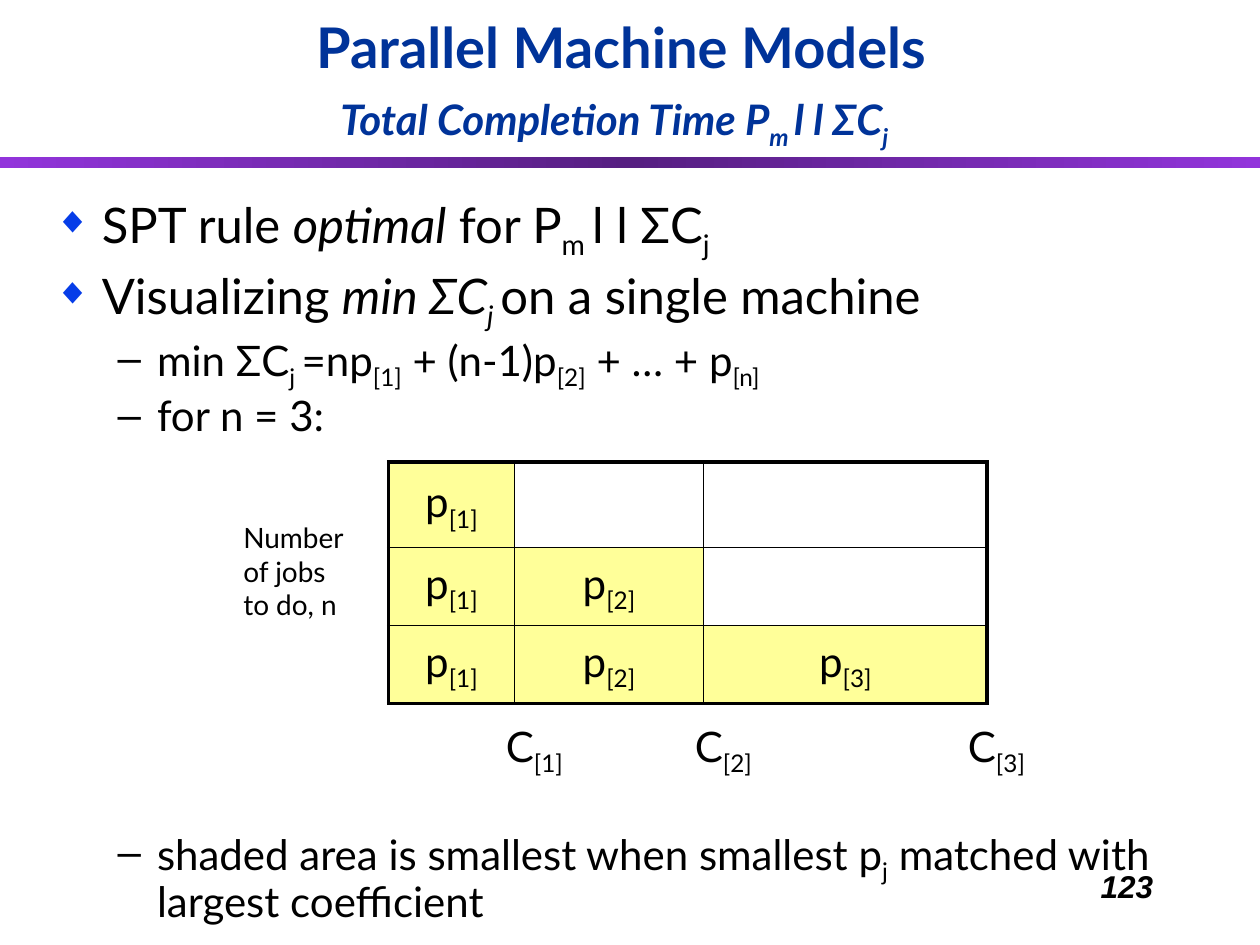
"""Build the slide on total completion time for parallel machines."""
import copy

import pptx
import pptx.dml.color
import pptx.enum.text
import pptx.oxml
import pptx.oxml.ns
import pptx.util

Pt = pptx.util.Pt
RGB = pptx.dml.color.RGBColor
ALIGN = pptx.enum.text.PP_ALIGN
ANCHOR = pptx.enum.text.MSO_ANCHOR
NONE = pptx.enum.text.MSO_AUTO_SIZE.NONE
NS = pptx.oxml.ns.nsdecls("a")
BLACK = RGB(0x00, 0x00, 0x00)
NAVY = RGB(0x00, 0x33, 0x99)
BLUE = RGB(0x06, 0x3D, 0xE8)
PURPLE = RGB(0x92, 0x34, 0xDB)
DARK_PURPLE = RGB(0x56, 0x1F, 0x81)
YELLOW = RGB(0xFF, 0xFF, 0x99)


def add_runs(p, parts, size, color=BLACK, bold=False):
    for text, style in parts:
        r = p.add_run()
        r.text = text
        r.font.name = "Lato"
        r.font.size = Pt(size)
        r.font.bold = bold
        r.font.italic = "i" in style
        r.font.color.rgb = color
        if "_" in style:
            r._r.get_or_add_rPr().set("baseline", "-25000")


def add_text(s, x, y, w, h):
    tf = s.shapes.add_textbox(Pt(x), Pt(y), Pt(w), Pt(h)).text_frame
    tf.word_wrap = True
    return tf.paragraphs[0]


prs = pptx.Presentation()
prs.slide_width, prs.slide_height = Pt(720), Pt(540)
s = prs.slides.add_slide(prs.slide_layouts[1])

sp = s.shapes.add_shape(pptx.enum.shapes.MSO_SHAPE.RECTANGLE, 0, Pt(90), Pt(720), Pt(6))
sp.shadow.inherit = False
sp.line.fill.background()
sp.fill.gradient()
sp.fill.gradient_angle = 0
stops = sp.fill.gradient_stops
for stop, color, position in zip(stops, (PURPLE, DARK_PURPLE), (0, 0.5)):
    stop.color.rgb = color
    stop.position = position
first = stops[0]._gs
last = copy.deepcopy(first)
last.set("pos", "100000")
first.getparent().append(last)

title = s.shapes.title
title.left, title.top, title.width, title.height = Pt(18), Pt(12), Pt(674), Pt(78)
tf = title.text_frame
tf.auto_size = NONE
tf.vertical_anchor = ANCHOR.BOTTOM
p = tf.paragraphs[0]
p.alignment = ALIGN.CENTER
add_runs(p, [("Parallel Machine Models", "")], 32, NAVY, True)
p.add_line_break()
add_runs(p, [("Total Completion Time P", "i"), ("m ", "i_"), ("l l ΣC", "i"), ("j", "i_")], 24, NAVY, True)
add_runs(p, [(" ", "")], 32, NAVY, True)

body = s.placeholders[1]
body.left, body.top, body.width, body.height = Pt(24), Pt(108), Pt(678), Pt(420)
tf = body.text_frame
tf.auto_size = NONE
items = [
    (0, 6, [("SPT rule ", ""), ("optimal", "i"), (" for P", ""), ("m ", "_"), ("l l ΣC", ""), ("j", "_")]),
    (0, 6, [("Visualizing ", ""), ("min ΣC", "i"), ("j ", "i_"), ("on a single machine", "")]),
    (1, 5, [("min ΣC", ""), ("j ", "_"), ("=np", ""), ("[1]", "_"), (" + (n-1)p", ""),
            ("[2]", "_"), (" + … + p", ""), ("[n]", "_")]),
    (1, 5, [("for n = 3:", "")]),
    (1, 222, [("shaded area is smallest when smallest p", ""), ("j", "_"),
              (" matched with largest coefficient", "")]),
]
levels = [(28, 27, -27, BLUE, 75, "◆"), (24, 58.5, -22.5, BLACK, 100, "–")]
for i, (level, gap, parts) in enumerate(items):
    size, margin, indent, color, percent, bullet = levels[level]
    p = tf.add_paragraph() if i else tf.paragraphs[0]
    p.level = level
    p.line_spacing = 0.9
    p.space_before = Pt(gap)
    add_runs(p, parts, size)
    pPr = p._p.get_or_add_pPr()
    pPr.set("marL", str(Pt(margin)))
    pPr.set("indent", str(Pt(indent)))
    for xml in (f'<a:buClr {NS}><a:srgbClr val="{color}"/></a:buClr>',
                f'<a:buSzPct {NS} val="{percent}000"/>',
                f'<a:buChar {NS} char="{bullet}"/>'):
        pPr.append(pptx.oxml.parse_xml(xml))

widths, heights = [72, 108, 162], [49, 44.5, 44.5]
table = s.shapes.add_table(3, 3, Pt(222), Pt(264), Pt(sum(widths)), Pt(sum(heights))).table
table.first_row = table.horz_banding = False
for col, width in zip(table.columns, widths):
    col.width = Pt(width)
for row, height in zip(table.rows, heights):
    row.height = Pt(height)
for i in range(3):
    for j in range(3):
        cell = table.cell(i, j)
        cell.vertical_anchor = ANCHOR.MIDDLE
        tcPr = cell._tc.get_or_add_tcPr()
        for side, outer in (("L", j == 0), ("R", j == 2), ("T", i == 0), ("B", i == 2)):
            line = Pt(2.25 if outer else 1)
            tcPr.append(pptx.oxml.parse_xml(
                f'<a:ln{side} {NS} w="{line}"><a:solidFill><a:srgbClr val="{BLACK}"/>'
                f'</a:solidFill></a:ln{side}>'))
        if j > i:
            cell.fill.background()
            continue
        cell.fill.solid()
        cell.fill.fore_color.rgb = YELLOW
        p = cell.text_frame.paragraphs[0]
        p.alignment = ALIGN.CENTER
        p.space_before = Pt(5)
        add_runs(p, [("p", ""), (f"[{j + 1}]", "_")], 24)

add_runs(add_text(s, 132, 294, 78, 65), [("Number of jobs to do, n", "")], 16)
for i, x in enumerate((282, 390, 546), 1):
    add_runs(add_text(s, x, 408, 54, 36), [("C", ""), (f"[{i}]", "_")], 24)

p = add_text(s, 516, 492, 150, 36)
p.alignment = ALIGN.RIGHT
add_runs(p, [("123", "i")], 18, bold=True)
p.runs[0].font.name = "Arial"

prs.save("out.pptx")
